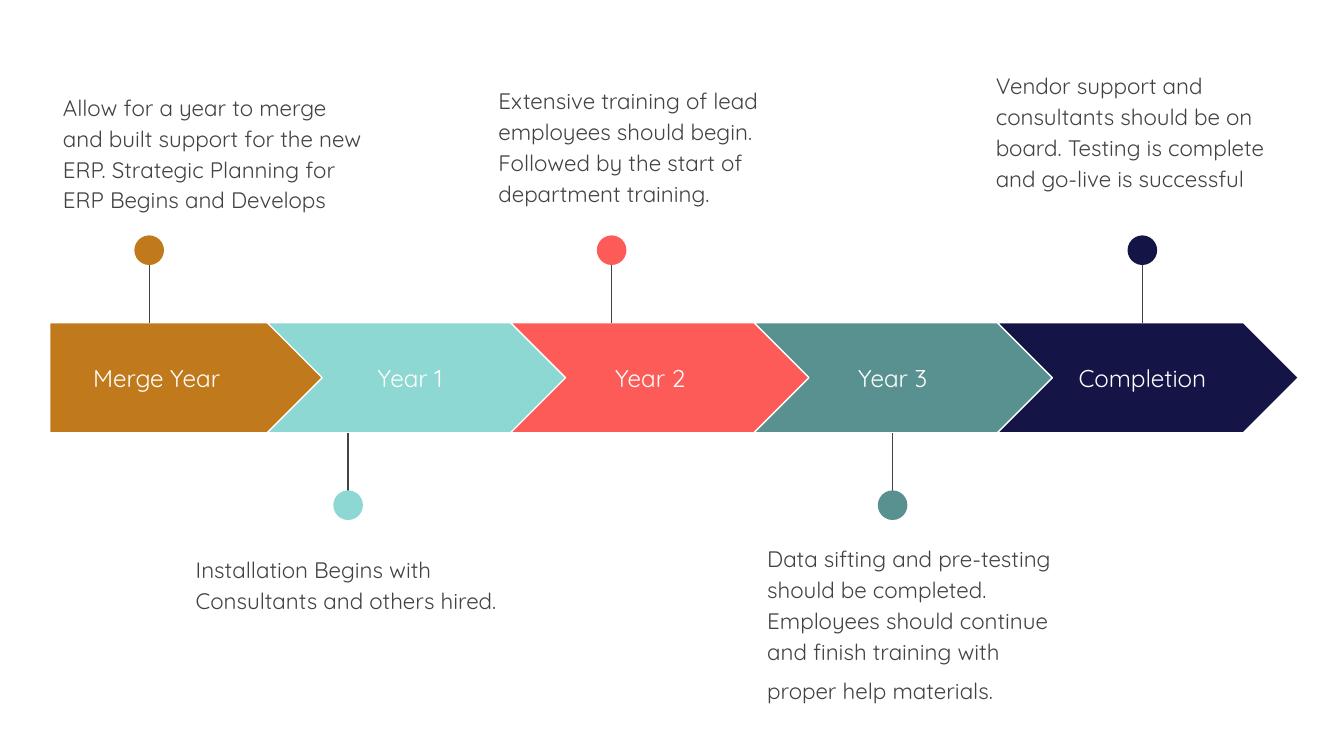
from dataclasses import dataclass

import pptx
import pptx.dml.color
import pptx.enum.shapes
import pptx.enum.text
import pptx.oxml.ns
import pptx.util
from lxml import etree
from pptx.util import Cm

Shape = pptx.enum.shapes.MSO_SHAPE
Align = pptx.enum.text.PP_ALIGN
Anchor = pptx.enum.text.MSO_ANCHOR

FONT = "Quicksand"
INK = "424242"
WHITE = "FFFFFF"

# Lengths in centimetres
LEFT = 0.94
TOP, HIGH = 6.1, 2.08
BASE = TOP + HIGH
FIRST, PITCH, WIDE = 5.05, 4.6, 5.69
DOT = 0.56
STEM = 1.37
NOTE = 6.22


@dataclass
class Step:
    name: str
    color: str
    mid: float      # centre of the label
    span: float     # width of the label
    pin: float      # centre of the pin
    above: bool
    left: float     # corner and height of the note
    top: float
    high: float
    note: str
    tail: int = 0   # size of a closing space that deepens the last line


STEPS = [
    Step("Merge Year", "C0791B", 2.96, 4.04, 2.82, True, LEFT, 1.45, 2.64,
         "Allow for a year to merge and built support for the new ERP. "
         "Strategic Planning for ERP Begins and Develops"),
    Step("Year 1", "8DD8D3", 7.75, 3.66, 6.58, False, 3.45, 10.19, 2.51,
         "Installation Begins with Consultants and others hired."),
    Step("Year 2", "FD5B58", 12.29, 3.66, 11.56, True, 9.17, 1.32, 2.51,
         "Extensive training of lead employees should begin. "
         "Followed by the start of department training."),
    Step("Year 3", "599191", 16.87, 3.66, 16.87, False, 14.25, 9.98, 3.43,
         "Data sifting and pre-testing should be completed. Employees should "
         "continue and finish training with proper help materials.", 16),
    Step("Completion", "141446", 21.59, 3.66, 21.59, True, 18.57, 1.04, 3.07,
         "Vendor support and consultants should be on board. "
         "Testing is complete and go-live is successful"),
]


def rgb(color: str) -> pptx.dml.color.RGBColor:
    return pptx.dml.color.RGBColor.from_string(color)


def add_text(slide, text: str, x: float, y: float, w: float, h: float, *,
             size: int, color: str = INK, align=Align.LEFT, anchor=Anchor.TOP,
             lines: float = 1.0, after: int = 0, tail: int = 0) -> None:
    frame = slide.shapes.add_textbox(Cm(x), Cm(y), Cm(w), Cm(h)).text_frame
    frame.word_wrap = True
    frame.vertical_anchor = anchor
    frame.margin_left = frame.margin_right = Cm(0.25)
    frame.margin_top = frame.margin_bottom = Cm(0.25)
    para = frame.paragraphs[0]
    para.alignment = align
    para.line_spacing = lines
    para.space_after = pptx.util.Pt(after)
    runs = [(text, size)] + ([(" ", tail)] if tail else [])
    for words, points in runs:
        run = para.add_run()
        run.text = words
        run.font.name = FONT
        run.font.size = pptx.util.Pt(points)
        run.font.color.rgb = rgb(color)


def add_form(slide, kind, x: float, y: float, w: float, h: float,
             fill: str, edge: str = "") -> None:
    form = slide.shapes.add_shape(kind, Cm(x), Cm(y), Cm(w), Cm(h))
    form.shadow.inherit = False
    form.fill.solid()
    form.fill.fore_color.rgb = rgb(fill)
    if edge:
        form.line.color.rgb = rgb(edge)
        form.line.width = pptx.util.Pt(0.75)
    else:
        form.line.fill.background()


def add_pin(slide, step: Step) -> None:
    """Draw the stem and dot that tie a note to its arrow."""
    edge, sign = (TOP, -1) if step.above else (BASE, 1)
    hub = edge + sign * STEM
    stem = slide.shapes.add_connector(
        pptx.enum.shapes.MSO_CONNECTOR.STRAIGHT,
        Cm(step.pin), Cm(hub), Cm(step.pin), Cm(edge))
    stem.line.color.rgb = rgb(INK)
    stem.line.width = pptx.util.Pt(0.75)
    etree.SubElement(stem.element.spPr, pptx.oxml.ns.qn("a:effectLst"))
    add_form(slide, Shape.OVAL, step.pin - DOT / 2, hub - DOT / 2,
             DOT, DOT, step.color)


def add_step(slide, rank: int, step: Step) -> None:
    if rank == 0:
        kind, x, w = Shape.PENTAGON, LEFT, 5.21
    else:
        kind, x, w = Shape.CHEVRON, FIRST + (rank - 1) * PITCH, WIDE
    add_form(slide, kind, x, TOP, w, HIGH, step.color, WHITE)
    add_text(slide, step.name, step.mid - step.span / 2, 6.5, step.span, 1.3,
             size=13, color=WHITE, align=Align.CENTER, anchor=Anchor.MIDDLE)
    add_pin(slide, step)
    add_text(slide, step.note, step.left, step.top, NOTE, step.high,
             size=12, lines=1.15, after=16, tail=step.tail)


def main() -> None:
    deck = pptx.Presentation()
    deck.slide_width, deck.slide_height = Cm(25.4), Cm(14.29)
    slide = deck.slides.add_slide(deck.slide_layouts.get_by_name("Blank"))
    for rank, step in enumerate(STEPS):
        add_step(slide, rank, step)
    deck.save("out.pptx")


if __name__ == "__main__":
    main()
